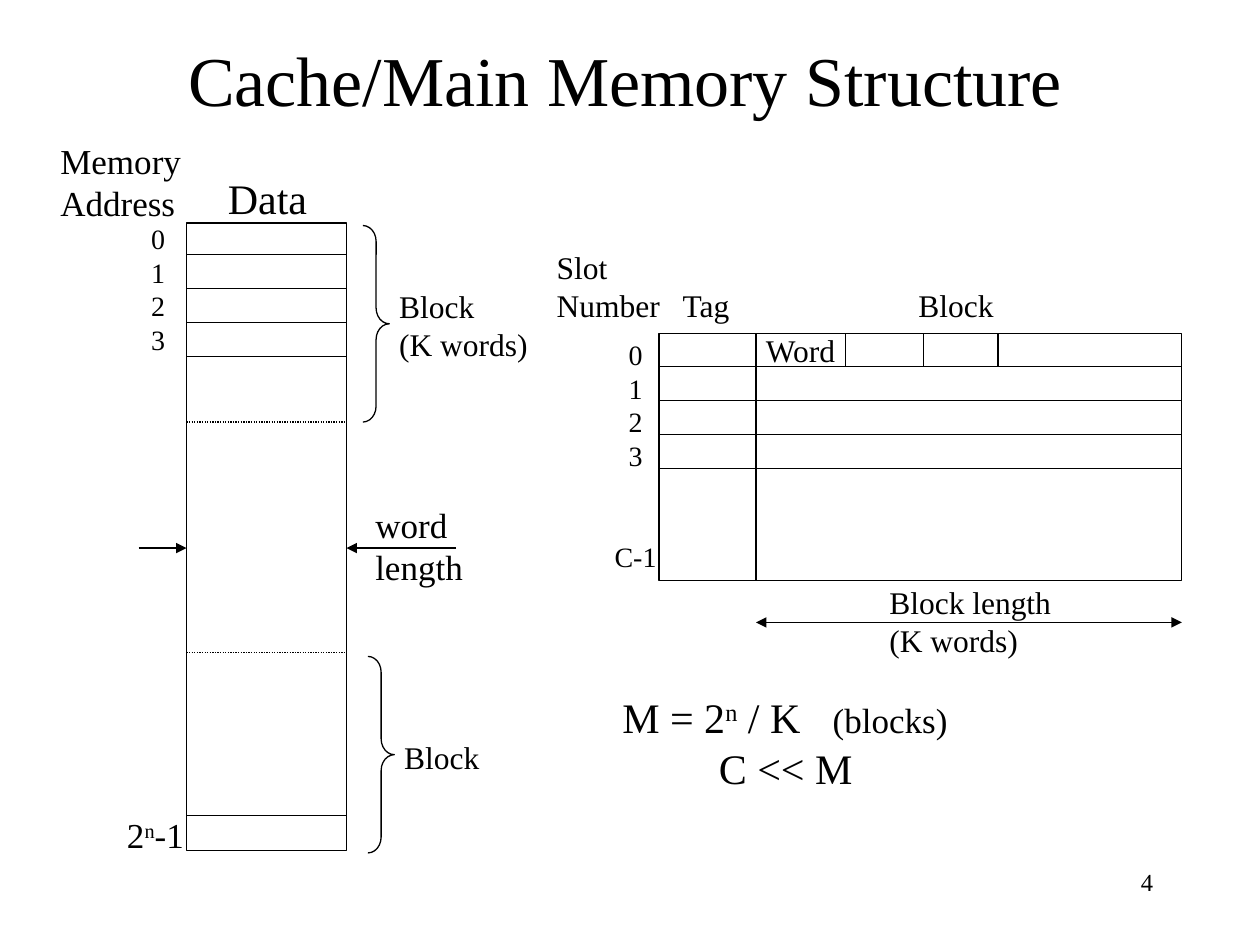
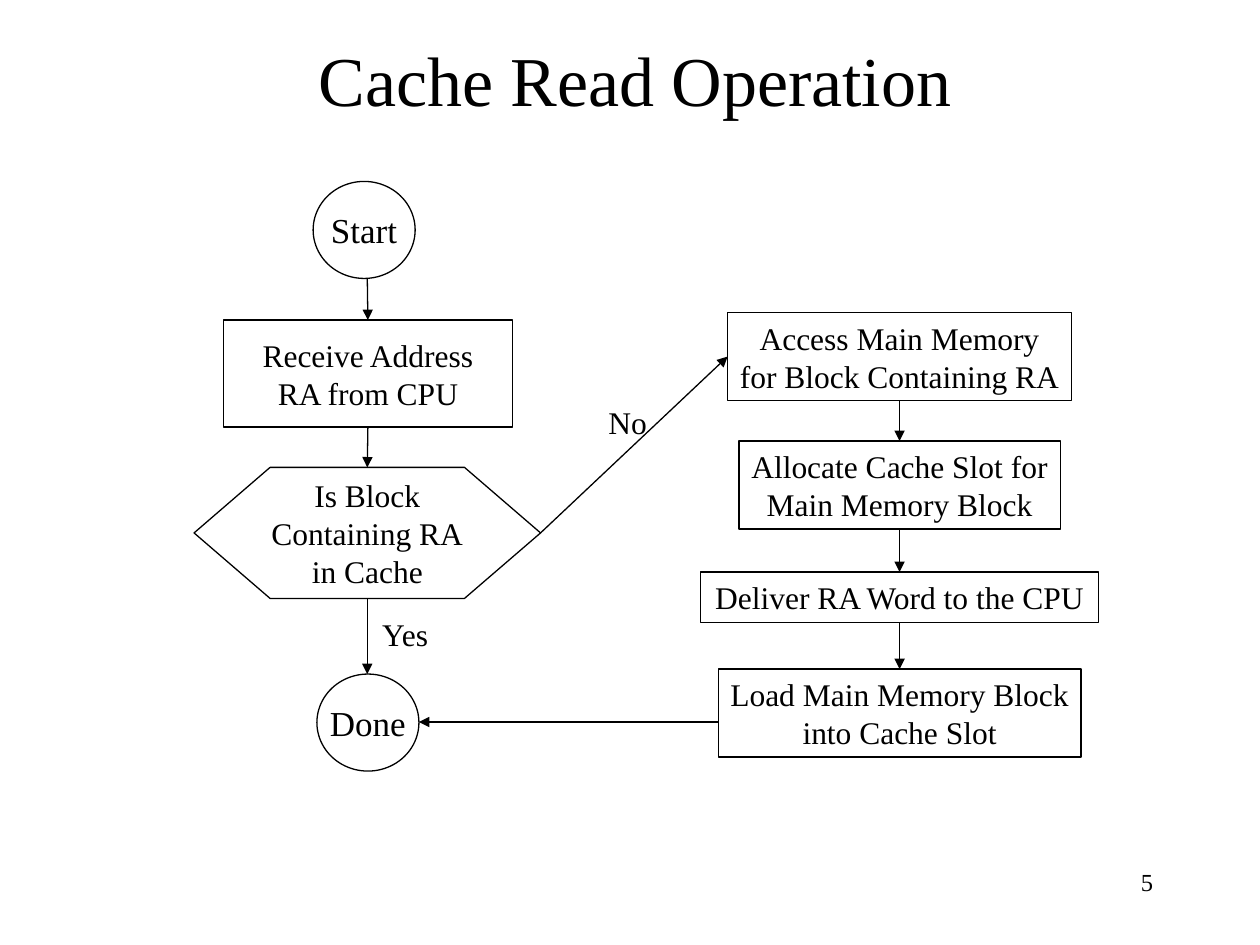
from lxml.etree import SubElement
from pptx import Presentation
from pptx.dml.color import RGBColor
from pptx.enum.dml import MSO_LINE
from pptx.enum.shapes import MSO_CONNECTOR, MSO_SHAPE
from pptx.enum.text import MSO_ANCHOR, MSO_AUTO_SIZE, PP_ALIGN
from pptx.oxml.ns import qn
from pptx.util import Inches, Pt

FONT = "Times New Roman"
INK = "000000"
PAPER = "FFFFFF"
LINE_WIDTH = Pt(0.75)
ROW = 0.27
ROW_LABEL_GAP = Pt(38.5)


def color(hex_string):
    return RGBColor.from_string(hex_string)


def style(font, size):
    font.name = FONT
    font.size = Pt(size)
    font.color.rgb = color(INK)


def write(frame, text, size, align=PP_ALIGN.LEFT, anchor=MSO_ANCHOR.TOP, wrap=False):
    frame.text = text
    frame.word_wrap = wrap
    frame.vertical_anchor = anchor
    for paragraph in frame.paragraphs:
        paragraph.alignment = align
        for run in paragraph.runs:
            style(run.font, size)


def label(slide, box, text, size, align=PP_ALIGN.LEFT, wrap=False):
    frame = slide.shapes.add_textbox(*map(Inches, box)).text_frame
    write(frame, text, size, align, wrap=wrap)
    if not wrap:
        frame.auto_size = MSO_AUTO_SIZE.SHAPE_TO_FIT_TEXT
    return frame


def append_run(paragraph, text, size, raised=False):
    run = paragraph.add_run()
    run.text = text
    style(run.font, size)
    if raised:
        run.font._element.set("baseline", "30000")


def set_tabs(paragraph, *positions):
    tabs = SubElement(paragraph._p.get_or_add_pPr(), qn("a:tabLst"))
    for position in positions:
        SubElement(tabs, qn("a:tab"), pos=str(Inches(position)), algn="l")


def outline(slide, kind, box, text="", size=18):
    shape = slide.shapes.add_shape(kind, *map(Inches, box))
    shape.shadow.inherit = False
    shape.fill.background()
    shape.line.color.rgb = color(INK)
    shape.line.width = LINE_WIDTH
    if text:
        write(shape.text_frame, text, size, PP_ALIGN.CENTER, MSO_ANCHOR.MIDDLE)
    return shape


def brace(slide, left, top):
    shape = outline(slide, MSO_SHAPE.RIGHT_BRACE, (left, top, 0.21, 1.56))
    shape.adjustments[0] = 0.6


def line(slide, start, end, arrows=()):
    connector = slide.shapes.add_connector(
        MSO_CONNECTOR.STRAIGHT, *map(Inches, (*start, *end)))
    connector.line.color.rgb = color(INK)
    connector.line.width = LINE_WIDTH
    for arrow_end in arrows:
        SubElement(connector.line._get_or_add_ln(), qn(f"a:{arrow_end}"), type="triangle")
    SubElement(connector._element.spPr, qn("a:effectLst"))
    return connector


def arrow(slide, start, end):
    return line(slide, start, end, ["tailEnd"])


def titled_slide(prs, title, left, number):
    slide = prs.slides.add_slide(prs.slide_layouts[5])
    slide.background.fill.solid()
    slide.background.fill.fore_color.rgb = color(PAPER)
    heading = slide.shapes.title
    heading.left, heading.top, heading.width, heading.height = map(
        Inches, (left, 0, 8.5, 1.25))
    write(heading.text_frame, title, 40, PP_ALIGN.CENTER, MSO_ANCHOR.MIDDLE, True)
    label(slide, (7.17, 6.83, 2.08, 0.5), str(number), 14, PP_ALIGN.RIGHT, True)
    return slide


def main_memory(slide, left, top, width, height):
    right = left + width
    outline(slide, MSO_SHAPE.RECTANGLE, (left, top, width, height))
    word_rows = [0.25 + ROW * i for i in range(4)]
    for offset in word_rows + [4.7]:
        line(slide, (left, top + offset), (right, top + offset))
    for block_edge in (1.58, 3.41):
        edge = line(slide, (left, top + block_edge), (right, top + block_edge))
        edge.line.dash_style = MSO_LINE.ROUND_DOT

    label(slide, (left - 1.1, top - 0.71, 1.18, 0.77), "Memory\nAddress", 20)
    label(slide, (left + 0.23, top - 0.45, 0.85, 0.5), "Data", 24)
    label(slide, (left - 0.38, top - 0.06, 0.31, 1.17), "0\n1\n2\n3", 16, PP_ALIGN.CENTER)
    last_address = label(slide, (left - 0.57, top + 4.64, 0.67, 0.44), "2", 20)
    append_run(last_address.paragraphs[0], "n", 20, raised=True)
    append_run(last_address.paragraphs[0], "-1", 20)

    brace(slide, right + 0.13, top + 0.02)
    label(slide, (right + 0.32, top + 0.46, 1.24, 0.7), "Block\n(K words)", 18)
    brace(slide, right + 0.17, top + 3.44)
    label(slide, (right + 0.36, top + 4.04, 0.82, 0.4), "Block", 18)

    word_y = top + 2.58
    arrow(slide, (left - 0.38, word_y), (left, word_y))
    arrow(slide, (right + 0.87, word_y), (right, word_y))
    label(slide, (right + 0.13, top + 2.18, 0.92, 0.77), "word\nlength", 20)


def cache(slide, left, top, width, height):
    tag_width = 0.77
    block_left, right = left + tag_width, left + width
    outline(slide, MSO_SHAPE.RECTANGLE, (left, top, tag_width, height))
    outline(slide, MSO_SHAPE.RECTANGLE, (block_left, top, width - tag_width, height))
    for i in range(4):
        slot_y = top + 0.26 + ROW * i
        line(slide, (left, slot_y), (right, slot_y))
    for word_edge in (0.71, 1.33, 1.92):
        word_x = block_left + word_edge
        line(slide, (word_x, top), (word_x, top + 0.26))

    headings = label(slide, (left - 0.91, top - 0.73, 3.69, 0.7),
                     "Slot\nNumber\tTag\tBlock", 18, wrap=True)
    set_tabs(headings.paragraphs[1], 1, 2.87)
    slots = label(slide, (left - 0.45, top - 0.02, 0.53, 1.97),
                  "0\n1\n2\n3\nC-1", 16, PP_ALIGN.CENTER)
    slots.paragraphs[-1].space_before = ROW_LABEL_GAP
    label(slide, (block_left - 0.02, top - 0.07, 0.79, 0.4), "Word", 18)

    length_y = top + height + 0.33
    line(slide, (block_left, length_y), (right, length_y), ["headEnd", "tailEnd"])
    label(slide, (block_left + 0.96, top + height - 0.03, 1.52, 0.7),
          "Block length\n(K words)", 18)


def block_count(slide, left, top, width, height):
    frame = label(slide, (left, top, width, height), "M = 2\nC << M", 24, wrap=True)
    formula, comparison = frame.paragraphs
    set_tabs(formula, 1.67)
    append_run(formula, "n", 24, raised=True)
    append_run(formula, " / K\t", 24)
    append_run(formula, "(blocks)", 20)
    comparison.alignment = PP_ALIGN.CENTER


def cache_lookup(slide, left, top, width):
    center = left + width / 2
    right = left + width
    test_top, test_height = top + 2.27, 1.04
    test_middle, test_bottom = test_top + test_height / 2, test_top + test_height
    done_top = top + 3.91
    outline(slide, MSO_SHAPE.OVAL, (center - 0.43, top, 0.81, 0.77), "Start", 20)
    receive = outline(slide, MSO_SHAPE.RECTANGLE, (center - 1.14, top + 1.1, 2.29, 0.85),
                      "Receive Address\nRA from CPU")
    test = outline(slide, MSO_SHAPE.HEXAGON, (left, test_top, width, test_height),
                   "Is Block\nContaining RA\nin Cache")
    test.adjustments[0] = 0.58
    outline(slide, MSO_SHAPE.OVAL, (center - 0.4, done_top, 0.81, 0.77), "Done", 20)

    arrow(slide, (center, top + 0.77), (center, top + 1.1)).end_connect(receive, 0)
    arrow(slide, (center, top + 1.95), (center, test_top)).begin_connect(receive, 2)
    arrow(slide, (center, test_bottom), (center, done_top))
    label(slide, (center + 0.02, test_bottom + 0.08, 0.62, 0.4), "Yes", 18)
    label(slide, (right + 0.44, top + 1.71, 0.54, 0.4), "No", 18)
    return (right, test_middle), (center + 0.41, done_top + 0.38)


def miss_handling(slide, center, top, miss_exit, done_entry):
    steps = [
        (0, 2.73, 0.7, "Access Main Memory\nfor Block Containing RA"),
        (1.02, 2.55, 0.7, "Allocate Cache Slot for\nMain Memory Block"),
        (2.06, 3.16, 0.4, "Deliver RA Word to the CPU"),
        (2.83, 2.88, 0.7, "Load Main Memory Block\ninto Cache Slot"),
    ]
    boxes = [
        outline(slide, MSO_SHAPE.RECTANGLE,
                (center - width / 2, top + offset, width, height), text)
        for offset, width, height, text in steps
    ]
    for upper, lower in zip(boxes, boxes[1:]):
        link = arrow(slide, (center, top), (center, top))
        link.begin_connect(upper, 2)
        link.end_connect(lower, 0)
    arrow(slide, miss_exit, (center, top)).end_connect(boxes[0], 1)
    load_left = center - steps[-1][1] / 2
    arrow(slide, (load_left, done_entry[1]), done_entry)


def main():
    prs = Presentation()
    prs.slide_width, prs.slide_height = Inches(10), Inches(7.5)

    structure = titled_slide(prs, "Cache/Main Memory Structure", 0.71, 4)
    main_memory(structure, 1.48, 1.77, 1.27, 4.98)
    cache(structure, 5.23, 2.65, 4.15, 1.96)
    block_count(structure, 4.84, 5.44, 2.79, 0.9)

    read = titled_slide(prs, "Cache Read Operation", 0.79, 5)
    miss_exit, done_entry = cache_lookup(read, 1.54, 1.44, 2.75)
    miss_handling(read, 7.14, 2.48, miss_exit, done_entry)

    prs.save("out.pptx")


if __name__ == "__main__":
    main()
